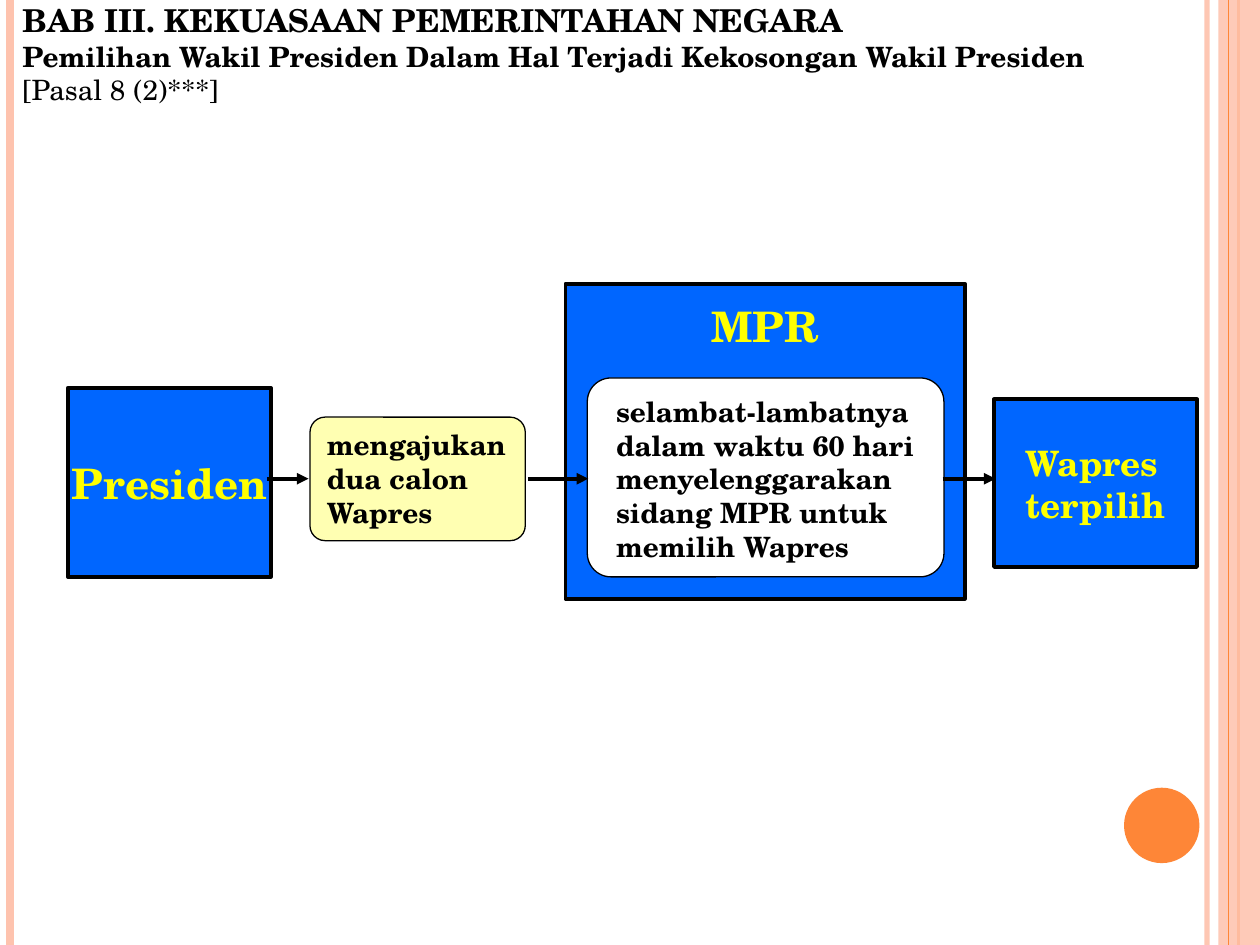
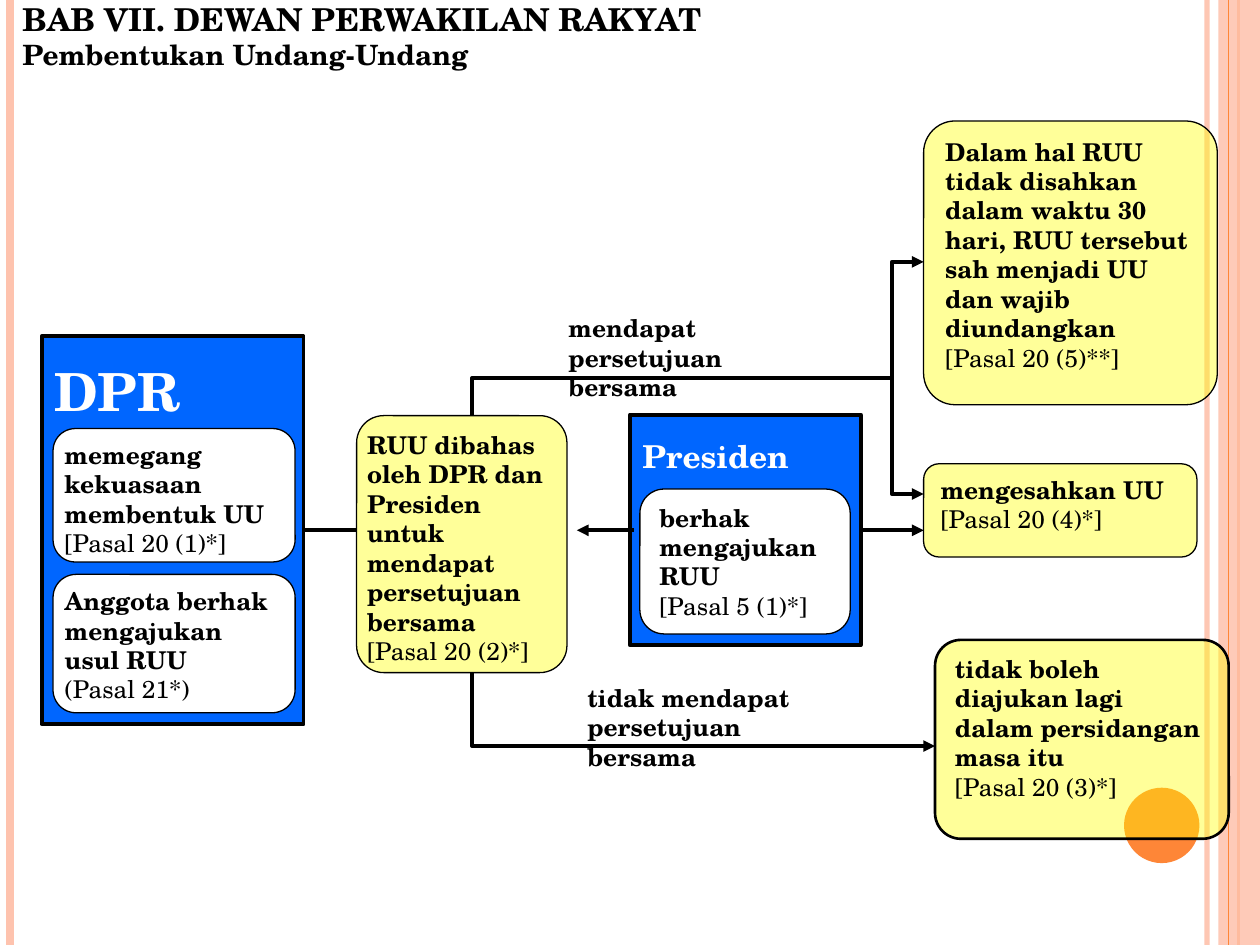
from lxml import etree
from pptx import Presentation
from pptx.dml.color import RGBColor
from pptx.enum.shapes import MSO_CONNECTOR, MSO_SHAPE
from pptx.enum.text import MSO_ANCHOR, PP_ALIGN
from pptx.oxml.ns import qn
from pptx.util import Cm, Pt

RECT, ROUNDED, OVAL = MSO_SHAPE.RECTANGLE, MSO_SHAPE.ROUNDED_RECTANGLE, MSO_SHAPE.OVAL
STRAIGHT = MSO_CONNECTOR.STRAIGHT
TOP, MIDDLE = MSO_ANCHOR.TOP, MSO_ANCHOR.MIDDLE
LEFT, CENTER = PP_ALIGN.LEFT, PP_ALIGN.CENTER

BLACK = RGBColor(0x00, 0x00, 0x00)
WHITE = RGBColor(0xFF, 0xFF, 0xFF)
BLUE = RGBColor(0x00, 0x66, 0xFF)
YELLOW = RGBColor(0xFF, 0xFF, 0x00)
LEMON = RGBColor(0xFF, 0xFF, 0x66)
PALE_YELLOW = RGBColor(0xFF, 0xFF, 0x99)
ORANGE = RGBColor(0xFE, 0x86, 0x37)
PEACH = RGBColor(0xFE, 0xC3, 0xAE)

FONT = "TeX Gyre Schola"
WIDTH, HEIGHT = 25.4, 19.05
INSETS = (0.25, 0.13, 0.25, 0.13)
CARD_INSETS = (0.1, 0.1, 0.1, 0.1)
HEADING_DROP = 0.33
FRAME_LINES = [(24.33, PEACH, 3, 93), (0.2, PEACH, 4.5, 100), (24.97, ORANGE, 1.5, 100)]


def place(origin, left, top, *size):
    return (origin[0] + left, origin[1] + top, *size)


def set_opacity(fill, percent):
    if percent < 100:
        color = fill._xPr.find(qn("a:solidFill")).find(qn("a:srgbClr"))
        etree.SubElement(color, qn("a:alpha"), val=str(percent * 1000))


def paint(shape, fill, opacity=100, weight=0.0):
    shape.shadow.inherit = False
    shape.fill.solid()
    shape.fill.fore_color.rgb = fill
    set_opacity(shape.fill, opacity)
    if weight:
        shape.line.color.rgb = BLACK
        shape.line.width = Pt(weight)
    else:
        shape.line.fill.background()


def write(shape, lines, color=BLACK, align=LEFT, anchor=TOP, insets=INSETS):
    frame = shape.text_frame
    sides = ("margin_left", "margin_top", "margin_right", "margin_bottom")
    layout = {"word_wrap": True, "vertical_anchor": anchor,
              **dict(zip(sides, map(Cm, insets)))}
    for name, value in layout.items():
        setattr(frame, name, value)
    for index, (text, size, bold) in enumerate(lines):
        paragraph = frame.add_paragraph() if index else frame.paragraphs[0]
        paragraph.alignment = align
        run = paragraph.add_run()
        run.text = text
        for name, value in {"name": FONT, "size": Pt(size), "bold": bold}.items():
            setattr(run.font, name, value)
        run.font.color.rgb = color


def add_block(slide, box, kind, fill, opacity=100, weight=0.0, corner=None):
    block = slide.shapes.add_shape(kind, *map(Cm, box))
    if corner is not None:
        block.adjustments[0] = corner
    paint(block, fill, opacity, weight)
    return block


def add_text(slide, box, lines, insets=INSETS):
    write(slide.shapes.add_textbox(*map(Cm, box)), lines, insets=insets)


def add_line(slide, start, end, color=BLACK, weight=2.25, opacity=100):
    line = slide.shapes.add_connector(STRAIGHT, *map(Cm, (*start, *end)))
    line.line.color.rgb = color
    line.line.width = Pt(weight)
    set_opacity(line.line.fill, opacity)
    etree.SubElement(line._element.spPr, qn("a:effectLst"))
    return line


def add_arrowhead(shape):
    etree.SubElement(shape.line._get_or_add_ln(), qn("a:tailEnd"), type="triangle")


def add_arrow(slide, origin, y, start, end):
    add_arrowhead(add_line(slide, place(origin, start, y), place(origin, end, y)))


def add_elbow(slide, origin, points, arrow=True):
    start, *rest = [tuple(map(Cm, place(origin, *point))) for point in points]
    builder = slide.shapes.build_freeform(*start, scale=1.0)
    builder.add_line_segments(rest, close=False)
    elbow = builder.convert_to_shape()
    paint(elbow, WHITE, weight=2.25)
    elbow.fill.background()
    if arrow:
        add_arrowhead(elbow)


def article(text, reference):
    return [(text, 14, True), (reference, 14, False)]


def draw_frame(slide):
    for x, color, weight, opacity in FRAME_LINES:
        add_line(slide, (x, 0), (x, HEIGHT), color, weight, opacity)
    add_block(slide, (24.56, 0, 0.84, HEIGHT), RECT, PEACH, 87)
    add_line(slide, (24.77, 0), (24.77, HEIGHT), ORANGE, 0.75)
    add_block(slide, (22.66, 15.88, 1.52, 1.52), OVAL, ORANGE)


def draw_institution(slide, box, name, size, color, cards=(), **text_format):
    body = add_block(slide, box, RECT, BLUE, weight=2.25)
    write(body, [(name, size, True)], color, **text_format)
    for offsets, corner, lines, insets in cards:
        card = add_block(slide, place(box, *offsets), ROUNDED, WHITE, weight=0.75, corner=corner)
        write(card, lines, insets=insets)


def draw_election(slide, box):
    session = [("selambat-lambatnya dalam waktu 60 hari menyelenggarakan sidang MPR "
                "untuk memilih Wapres", 16, True)]
    draw_institution(slide, place(box, 10.03, 0, 8.05, 6.35), "MPR", 24, YELLOW,
                     [((0.44, 1.9, 7.19, 4.01), 0.119, session, (0.44, 0.2, 0.1, 0.2))],
                     align=CENTER, insets=(0, HEADING_DROP, 0, 0))
    draw_institution(slide, place(box, 18.67, 2.33, 4.09, 3.38), "Wapres terpilih", 20, YELLOW,
                     anchor=MIDDLE, insets=(0.64, 0, 0, 0))
    draw_institution(slide, place(box, 0, 2.1, 4.09, 3.81), "Presiden", 24, YELLOW,
                     align=CENTER, anchor=MIDDLE, insets=(0, 0, 0, 0))
    proposal = add_block(slide, place(box, 4.88, 2.69, 4.34, 2.49), ROUNDED,
                         LEMON, 50, 0.75, 0.122)
    write(proposal, [("mengajukan dua calon Wapres", 16, True)])
    for start, end in [(4.01, 4.85), (9.27, 10.49), (17.63, 18.7)]:
        add_arrow(slide, box, 3.93, start, end)


def draw_outcomes(slide, box):
    outcomes = [
        ((0, 6.91, 5.51, 1.88), 0.167, 0.75, "mengesahkan UU", "[Pasal 20 (4)*]"),
        ((0, 0, 5.92, 5.72), 0.111, 0.75,
         "Dalam hal RUU tidak disahkan dalam waktu 30 hari, RUU tersebut sah menjadi UU "
         "dan wajib diundangkan", "[Pasal 20 (5)**]"),
        ((0.23, 10.46, 5.92, 4.01), 0.13, 1.5,
         "tidak boleh diajukan lagi dalam persidangan masa itu", "[Pasal 20 (3)*]"),
    ]
    for offsets, corner, weight, text, reference in outcomes:
        outcome = add_block(slide, place(box, *offsets), ROUNDED, YELLOW, 40, weight, corner)
        write(outcome, article(text, reference))


def draw_lawmaking(slide, box):
    add_elbow(slide, box, [(8.68, 10.26), (8.68, 12.6), (18.01, 12.6)])
    draw_outcomes(slide, place(box, 17.78, 0))
    heading_insets = (0.25, 0.13 + HEADING_DROP, 0.25, 0.13)
    draw_institution(slide, place(box, 0, 4.34, 5.28, 7.82), "DPR", 30, WHITE, [
        ((0.23, 1.86, 4.88, 2.69), 0.167,
         article("memegang kekuasaan membentuk UU", "[Pasal 20 (1)*]"), CARD_INSETS),
        ((0.23, 4.8, 4.88, 2.79), 0.167,
         article("Anggota berhak mengajukan usul RUU", "(Pasal 21*)"), CARD_INSETS),
    ], insets=heading_insets)
    draw_institution(slide, place(box, 11.86, 5.92, 4.65, 4.65), "Presiden", 18, WHITE, [
        ((0.2, 1.5, 4.24, 2.92), 0.167,
         article("berhak mengajukan RUU", "[Pasal 5 (1)*]"), INSETS),
    ], insets=heading_insets)

    branch = (17.14, 5.18)
    add_elbow(slide, box, [branch, (8.68, 5.18), (8.68, 6.25)], arrow=False)
    for y in (7.52, 2.84):
        add_elbow(slide, box, [branch, (17.14, y), (17.78, y)])
    for left, top, verdict in [(10.62, 3.88, "mendapat"), (11, 11.33, "tidak mendapat")]:
        add_text(slide, place(box, left, top, 5.33, 1.19),
                 [(verdict, 14, True), ("persetujuan bersama", 14, True)], (0, 0, 0, 0))
    for start, end in [(5.31, 6.58), (11.94, 10.79), (16.56, 17.78)]:
        add_arrow(slide, box, 8.25, start, end)

    debate = add_block(slide, place(box, 6.35, 5.94, 4.24, 5.18), ROUNDED,
                       PALE_YELLOW, weight=0.75, corner=0.129)
    write(debate, article("RUU dibahas oleh DPR dan Presiden untuk mendapat persetujuan bersama",
                          "[Pasal 20 (2)*]"), insets=(0.05, 0.13, 0.05, 0.13))


def main():
    deck = Presentation()
    deck.slide_width, deck.slide_height = Cm(WIDTH), Cm(HEIGHT)
    pages = [
        ((0.2, -0.1, 23.7, 2.44),
         [("BAB III. KEKUASAAN PEMERINTAHAN NEGARA", 18, True),
          ("Pemilihan Wakil Presiden Dalam Hal Terjadi Kekosongan Wakil Presiden", 16, True),
          ("[Pasal 8 (2)***]", 16, False)],
         draw_election, (1.37, 5.72)),
        ((0.2, -0.13, 16.74, 1.52),
         [("BAB VII. DEWAN PERWAKILAN RAKYAT", 18, True),
          ("Pembentukan Undang-Undang", 16, True)],
         draw_lawmaking, (0.84, 2.44)),
    ]
    for title_box, title, draw_content, content_box in pages:
        slide = deck.slides.add_slide(deck.slide_layouts[6])
        draw_frame(slide)
        add_text(slide, title_box, title)
        draw_content(slide, content_box)
    deck.save("out.pptx")


if __name__ == "__main__":
    main()
